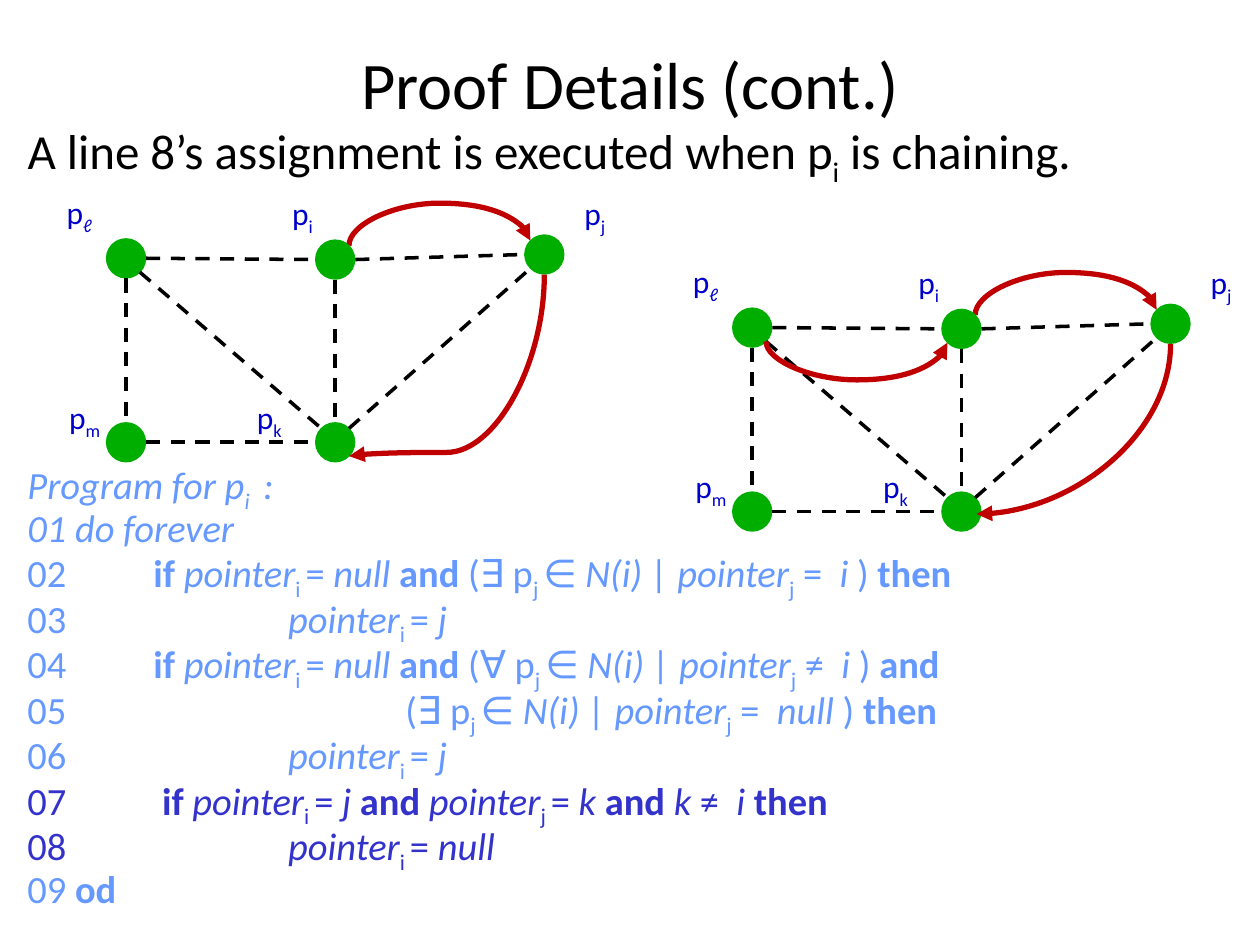
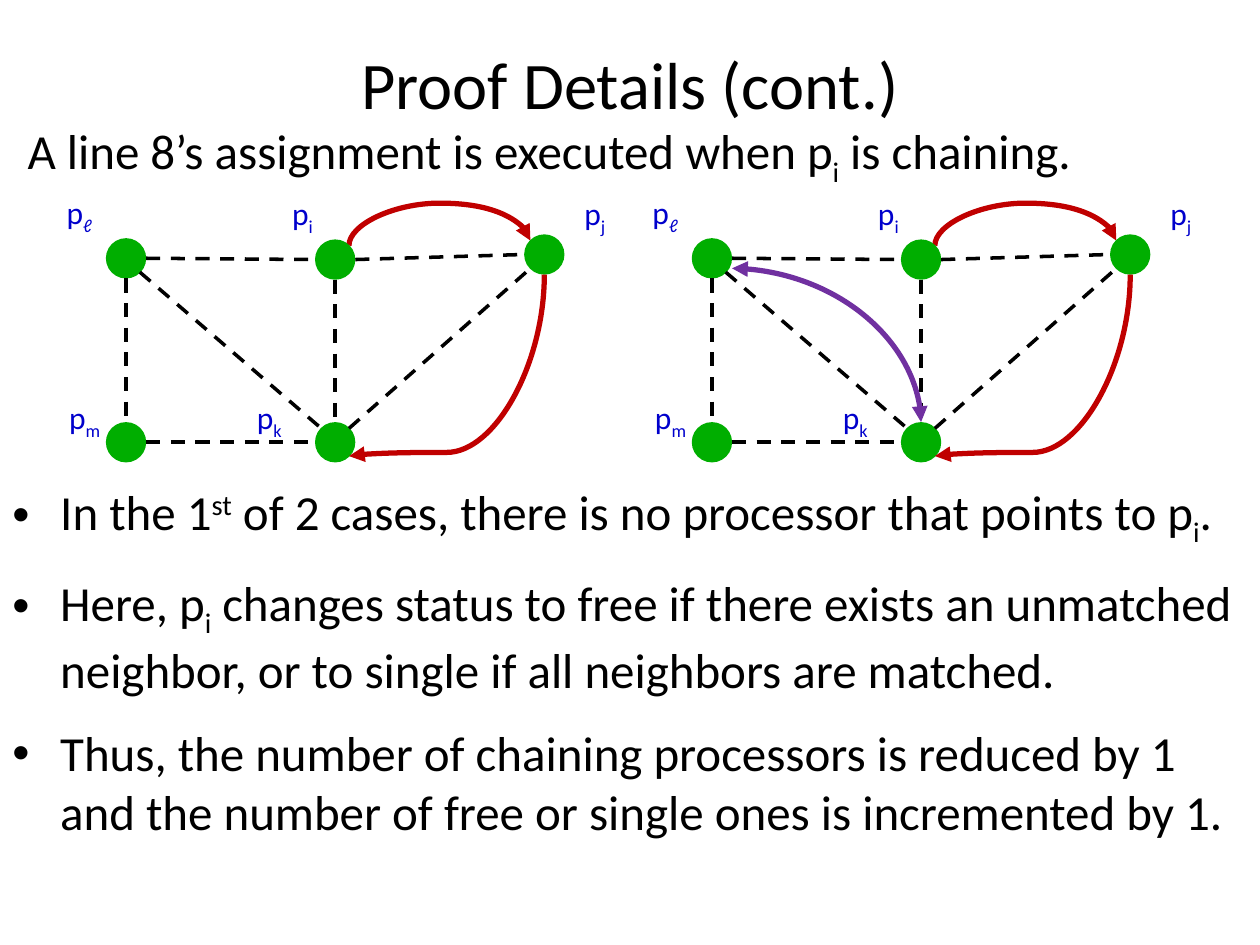
from lxml.etree import SubElement
from pptx import Presentation
from pptx.dml.color import RGBColor
from pptx.enum.dml import MSO_LINE
from pptx.enum.shapes import MSO_CONNECTOR, MSO_SHAPE
from pptx.enum.text import MSO_ANCHOR, MSO_AUTO_SIZE, PP_ALIGN
from pptx.oxml.ns import qn
from pptx.util import Inches, Pt

FONT = "Calibri"
BLACK, GREEN, RED, PURPLE = "000000", "00AE00", "C00000", "7030A0"
LABEL_BLUE, CODE_BLUE, ACTIVE_BLUE = "0000CC", "6699FF", "3333CC"

# Processor graph: node centres, label boxes, edges between connection sites
DIAMETER = 0.32
NODES = {"ℓ": (1, 2.05), "i": (2.66, 2.06), "j": (4.32, 2.02),
         "m": (1, 3.51), "k": (2.66, 3.51)}
LABELS = {"ℓ": (0.43, 1.48, 0.42), "i": (2.22, 1.49, 0.37), "j": (4.54, 1.49, 0.37),
          "m": (0.45, 3.11, 0.47), "k": (1.94, 3.11, 0.41)}
SITES = {"N": (0, -0.16), "S": (0, 0.16), "E": (0.16, 0), "W": (-0.16, 0),
         "NE": (0.11, -0.11), "NW": (-0.11, -0.11),
         "SE": (0.11, 0.11), "SW": (-0.11, 0.11),
         "inner E": (0.12, 0.02), "low E": (0.16, 0.08)}
EDGES = [("i", "E", "j", "W"), ("i", "S", "k", "N"), ("ℓ", "SE", "k", "NW"),
         ("ℓ", "E", "i", "W"), ("k", "NE", "j", "SW"), ("ℓ", "S", "m", "N"),
         ("m", "E", "k", "W")]

# Runs are (text, style): b bold, i italic, s subscript, t superscript
STATEMENT = [("A line 8’s assignment is executed when p", ""), ("i", "s"),
             (" is chaining.", "")]
POINTER_I = [("pointer", "i"), ("i ", "s"), ("= ", "")]
POINTER_J = [("pointer", "i"), ("j ", "s"), ("= ", "")]
IF_FREE = [("if ", "b"), *POINTER_I, ("null ", "i"), ("and", "b")]
ASSIGN_J = [*POINTER_I, ("j", "i")]


def neighbour(quantifier, relation, value, ending):
    """Return the runs of a quantified condition on a neighbour."""
    return [(f"({quantifier} p", ""), ("j ", "s"), ("∈ ", ""), ("N(i) | pointer", "i"),
            ("j", "s"), (f" {relation}  ", ""), (value, "i"), (" ) ", ""), (ending, "b")]


PROGRAM = [
    (CODE_BLUE, [("Program for p", "i"), ("i ", "is"), (" :", "i")]),
    (CODE_BLUE, [("01 do forever", "i")]),
    (CODE_BLUE, [("02\t", ""), *IF_FREE, (" ", ""), *neighbour("∃", "=", "i", "then")]),
    (CODE_BLUE, [("03\t\t ", ""), *ASSIGN_J]),
    (CODE_BLUE, [("04\t", ""), *IF_FREE, (" ", ""), *neighbour("∀", "≠", "i", "and ")]),
    (CODE_BLUE, [("05\t\t\t", ""), *neighbour("∃", "=", "null", "then")]),
    (CODE_BLUE, [("06\t\t ", ""), *ASSIGN_J]),
    (ACTIVE_BLUE, [("07\t ", ""), ("if ", "b"), *POINTER_I, ("j ", "i"), ("and ", "b"),
                   *POINTER_J, ("k ", "i"), ("and ", "b"), ("k", "i"), (" ≠  ", ""),
                   ("i ", "i"), ("then", "b")]),
    (ACTIVE_BLUE, [("08\t\t ", ""), *POINTER_I, ("null", "i")]),
    (CODE_BLUE, [("09 ", ""), ("od", "b")]),
]
CONCLUSIONS = [
    [("In the 1", ""), ("st", "t"),
     (" of 2 cases, there is no processor that points to p", ""), ("i", "s"), (".", "")],
    [("Here, p", ""), ("i", "s"),
     (" changes status to free if there exists an unmatched neighbor, "
      "or to single if all neighbors are matched.", "")],
    [("Thus, the number of chaining processors is reduced by 1 and the number of "
      "free or single ones is incremented by 1.", "")],
]


def color(value):
    """Turn a hex string into a colour."""
    return RGBColor.from_string(value)


def add_runs(paragraph, runs, size, text_color):
    """Add styled runs to a paragraph."""
    for text, style in runs:
        run = paragraph.add_run()
        run.text = text
        run.font.name = FONT
        run.font.size = Pt(size)
        run.font.color.rgb = color(text_color)
        run.font.bold = "b" in style
        run.font.italic = "i" in style
        if "s" in style:
            run.font._element.set("baseline", "-25000")
        elif "t" in style:
            run.font._element.set("baseline", "30000")


def space_before_half(paragraph):
    """Put half a line of space before a paragraph."""
    paragraph.space_before = Pt(0)
    spacing = paragraph._p.pPr.find(qn("a:spcBef"))
    spacing.remove(spacing[0])
    SubElement(spacing, qn("a:spcPct")).set("val", "50000")


def add_bullet(paragraph):
    """Give a paragraph a hanging bullet."""
    properties = paragraph._p.get_or_add_pPr()
    properties.set("marL", str(Inches(0.38)))
    properties.set("indent", str(-Inches(0.38)))
    SubElement(properties, qn("a:buFont")).set("typeface", "Arial")
    SubElement(properties, qn("a:buChar")).set("char", "•")


def add_text(shapes, box, lines, size, wrap=True, grow=False):
    """Add a text box of (colour, runs) lines and return its text frame."""
    frame = shapes.add_textbox(*map(Inches, box)).text_frame
    frame.word_wrap = wrap
    frame.auto_size = MSO_AUTO_SIZE.SHAPE_TO_FIT_TEXT if grow else MSO_AUTO_SIZE.NONE
    for index, (text_color, runs) in enumerate(lines):
        paragraph = frame.add_paragraph() if index else frame.paragraphs[0]
        add_runs(paragraph, runs, size, text_color)
    return frame


def add_heading(slide):
    """Add the title and the statement that both slides share."""
    title = add_text(slide.shapes, (0.5, 0.03, 9, 1.25),
                     [(BLACK, [("Proof Details (cont.)", "")])], 38)
    title.vertical_anchor = MSO_ANCHOR.MIDDLE
    title.paragraphs[0].alignment = PP_ALIGN.CENTER
    statement = add_text(slide.shapes, (0.12, 0.91, 9.69, 1.81), [(BLACK, STATEMENT)], 28)
    space_before_half(statement.paragraphs[0])


def site(node, side, offset):
    """Return the point at one side of a node in a graph moved by offset."""
    return tuple(sum(parts) for parts in zip(NODES[node], SITES[side], offset))


def add_line(shapes, kind, start, end, line_color, width):
    """Add a connector without shadow."""
    line = shapes.add_connector(kind, *map(Inches, (*start, *end)))
    line.line.color.rgb = color(line_color)
    line.line.width = Pt(width)
    SubElement(line._element.spPr, qn("a:effectLst"))
    return line


def add_curve(slide, offset, ends, rotation, flips="", bend=None,
              line_color=RED, heads=("tailEnd",)):
    """Add a curved arrow between two sites; without bend it is a single arc."""
    start, end = site(*ends[:2], offset), site(*ends[2:], offset)
    curve = add_line(slide.shapes, MSO_CONNECTOR.CURVE, start, end, line_color, 3)
    for head in heads:
        SubElement(curve.line._get_or_add_ln(), qn(f"a:{head}")).set("type", "triangle")

    # A quarter turn swaps the width and height around the same centre
    width, height = abs(end[1] - start[1]), abs(end[0] - start[0])
    curve.left = Inches((start[0] + end[0] - width) / 2)
    curve.top = Inches((start[1] + end[1] - height) / 2)
    curve.width, curve.height = Inches(width), Inches(height)
    properties = curve._element.spPr
    frame = properties.find(qn("a:xfrm"))
    frame.set("rot", str(rotation * 60000))
    for axis in "HV":
        frame.set(f"flip{axis}", str(int(axis in flips)))

    geometry = properties.find(qn("a:prstGeom"))
    if bend is None:
        geometry.set("prst", "curvedConnector2")
    else:
        guide = SubElement(geometry.find(qn("a:avLst")), qn("a:gd"))
        guide.set("name", "adj1")
        guide.set("fmla", f"val {round(bend * 100000)}")


def add_graph(slide, offset=(0, 0)):
    """Add the five processors, their edges and the pointer from i to j."""
    add_curve(slide, offset, ("i", "NE", "j", "NW"), 90, "HV", 8.4)
    shapes = slide.shapes.add_group_shape().shapes
    for name, (x, y) in NODES.items():
        node = shapes.add_shape(
            MSO_SHAPE.OVAL, Inches(x + offset[0] - DIAMETER / 2),
            Inches(y + offset[1] - DIAMETER / 2), Inches(DIAMETER), Inches(DIAMETER))
        node.shadow.inherit = False
        node.fill.solid()
        node.fill.fore_color.rgb = color(GREEN)
        node.line.fill.background()
        left, top, width = LABELS[name]
        add_text(shapes, (left + offset[0], top + offset[1], width, 0.4),
                 [(LABEL_BLUE, [("p", ""), (name, "s")])], 18, wrap=False, grow=True)
    for first, first_side, second, second_side in EDGES:
        edge = add_line(shapes, MSO_CONNECTOR.STRAIGHT, site(first, first_side, offset),
                        site(second, second_side, offset), BLACK, 2)
        edge.line.dash_style = MSO_LINE.DASH


def add_chain(slide, offset=(0, 0)):
    """Add the graph with the pointer from j to k."""
    add_graph(slide, offset)
    add_curve(slide, offset, ("j", "S", "k", "SE"), 90, bend=0.98)


def build_program_slide(slide):
    """Build the slide with both cases and the program."""
    add_heading(slide)
    pointed = (4.97, 0.55)
    add_graph(slide, pointed)
    program = add_text(slide.shapes, (0.12, 3.75, 8.37, 3.64), PROGRAM, 22, grow=True)
    for paragraph in program.paragraphs:
        paragraph.line_spacing = 0.5
        space_before_half(paragraph)
        paragraph._p.pPr.set("defTabSz", str(Inches(1)))
    add_chain(slide)
    add_curve(slide, pointed, ("j", "S", "k", "inner E"), 90)
    add_curve(slide, pointed, ("ℓ", "SE", "i", "SW"), 270, "H", 31)


def build_first_case_slide(slide):
    """Build the slide with the first case and its conclusions."""
    add_heading(slide)
    add_chain(slide)
    conclusions = add_text(slide.shapes, (0, 3.77, 10, 3.14),
                           [(BLACK, runs) for runs in CONCLUSIONS], 28)
    for paragraph in conclusions.paragraphs:
        space_before_half(paragraph)
        add_bullet(paragraph)
    matched = (4.65, 0)
    add_chain(slide, matched)
    add_curve(slide, matched, ("k", "N", "ℓ", "low E"), 270, "V",
              line_color=PURPLE, heads=("headEnd", "tailEnd"))


def main():
    """Create the presentation."""
    presentation = Presentation()
    presentation.slide_width, presentation.slide_height = Inches(10), Inches(7.5)
    for build in (build_program_slide, build_first_case_slide):
        build(presentation.slides.add_slide(presentation.slide_layouts[6]))
    presentation.save("out.pptx")


main()
